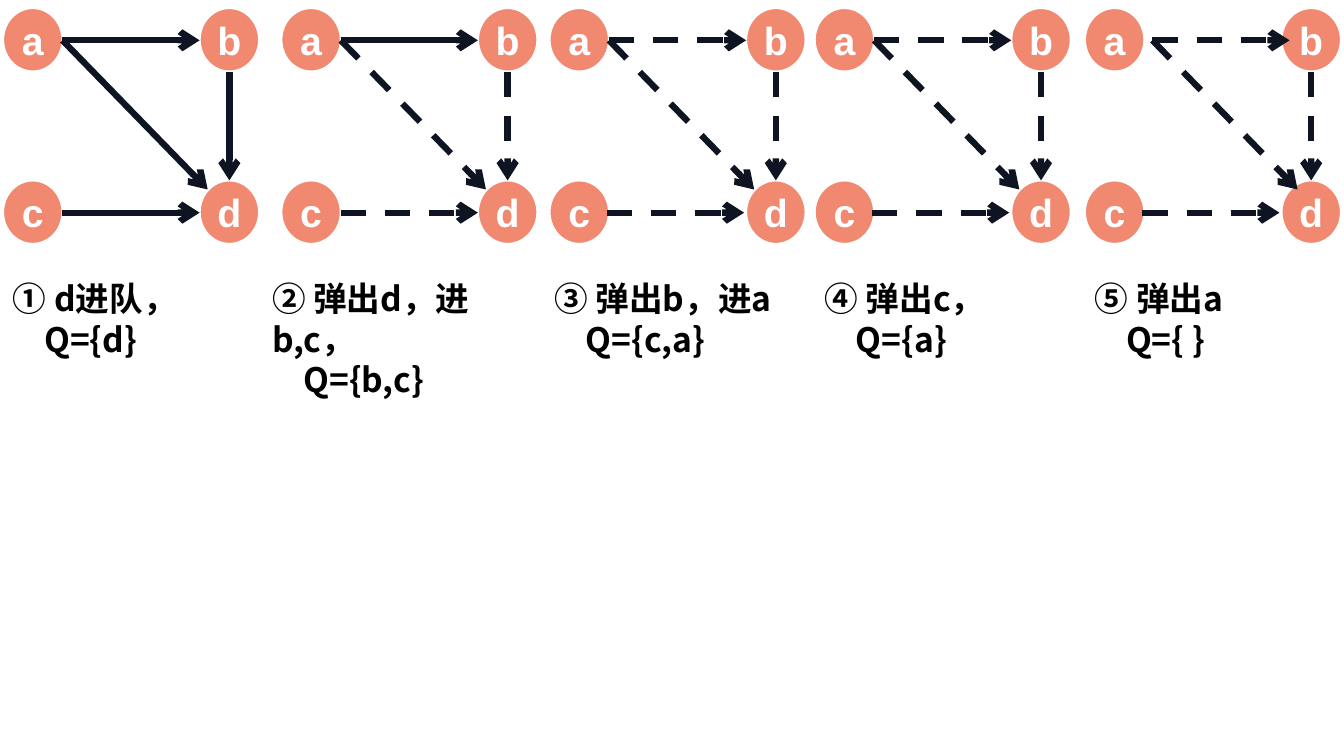
from lxml.etree import SubElement
from pptx import Presentation
from pptx.dml.color import RGBColor
from pptx.enum.dml import MSO_LINE
from pptx.enum.shapes import MSO_CONNECTOR, MSO_SHAPE
from pptx.enum.text import MSO_ANCHOR, PP_ALIGN
from pptx.oxml.ns import qn
from pptx.util import Inches, Pt

COLORS = {"node": "F18870", "white": "FFFFFF", "edge": "0F1423", "text": "000000"}
NODE_FONT, CAPTION_FONT = "Arial", "Noto Sans CJK SC"

# Each step: graph left, caption left, caption lines, solid edges, edge shifts
STEPS = [
    (0.03, 0.03, ("① d进队，", "Q={d}"), {"ab", "cd", "bd", "ad"}, {}),
    (2.79, 2.6, ("② 弹出d，进b,c，", "Q={b,c}"), {"ab"}, {}),
    (5.45, 5.4, ("③ 弹出b，进a", "Q={c,a}"), set(), {"cd": -0.02}),
    (8.08, 8.08, ("④ 弹出c，", "Q={a}"), set(), {"cd": -0.02}),
    (10.76, 10.76, ("⑤ 弹出a", "Q={ }"), set(),
     {"ab": 0.08, "cd": -0.02, "ad": 0.08}),
]

# Graph geometry, relative to the left of each graph
NODE_W, NODE_H = 0.59, 0.63
COL, TOP, BOTTOM = 1.95, 0.08, 1.79
MID_TOP, MID_BOTTOM = 0.4, 2.11
NODES = {"a": (0, TOP), "d": (COL, BOTTOM), "c": (0, BOTTOM), "b": (COL, TOP)}
EDGES = {
    "ab": (NODE_W, MID_TOP, COL, MID_TOP),
    "cd": (NODE_W, MID_BOTTOM, COL, MID_BOTTOM),
    "bd": (COL + NODE_W / 2, TOP + NODE_H, COL + NODE_W / 2, BOTTOM),
    "ad": (NODE_W, MID_TOP, 2.03, 1.88),
}
CAPTION_TOP, CAPTION_W, CAPTION_H, CAPTION_INDENT = 2.71, 2.85, 0.91, 0.31


def rgb(name):
    return RGBColor.from_string(COLORS[name])


def style_run(r, font, size, color):
    r.font.name, r.font.size, r.font.bold = font, Pt(size), True
    r.font.color.rgb = rgb(color)
    SubElement(r.font._element, qn("a:ea")).set("typeface", font)


def add_node(s, label, x, y):
    sp = s.shapes.add_shape(MSO_SHAPE.OVAL, Inches(x), Inches(y),
                            Inches(NODE_W), Inches(NODE_H))
    sp.shadow.inherit = False
    sp.fill.solid()
    sp.fill.fore_color.rgb = rgb("node")
    sp.line.color.rgb = rgb("white")
    sp.line.width = Pt(1.5)
    tf = sp.text_frame
    tf.word_wrap = False
    tf.vertical_anchor = MSO_ANCHOR.MIDDLE
    tf.text = label
    p = tf.paragraphs[0]
    p.alignment = PP_ALIGN.CENTER
    style_run(p.runs[0], NODE_FONT, 28, "white")


def add_edge(s, x1, y1, x2, y2, solid):
    cx = s.shapes.add_connector(MSO_CONNECTOR.STRAIGHT, Inches(x1), Inches(y1),
                                Inches(x2), Inches(y2))
    cx.line.color.rgb = rgb("edge")
    cx.line.width = Pt(4.5)
    if not solid:
        cx.line.dash_style = MSO_LINE.DASH
    spPr = cx._element.spPr
    SubElement(spPr.find(qn("a:ln")), qn("a:tailEnd")).set("type", "arrow")
    SubElement(spPr, qn("a:effectLst"))


def add_caption(s, x, lines):
    tb = s.shapes.add_textbox(Inches(x), Inches(CAPTION_TOP),
                              Inches(CAPTION_W), Inches(CAPTION_H))
    tf = tb.text_frame
    tf.word_wrap = True
    tf.text = "\n".join(lines)
    for p in tf.paragraphs:
        style_run(p.runs[0], CAPTION_FONT, 24, "text")
    # The queue line is set in from the step line
    pPr = tf.paragraphs[1]._p.get_or_add_pPr()
    pPr.set("marL", str(Inches(CAPTION_INDENT)))


prs = Presentation()
prs.slide_width, prs.slide_height = Inches(13.33), Inches(7.5)
s = prs.slides.add_slide(prs.slide_layouts[6])

for left, caption_left, lines, solid, shifts in STEPS:
    # Nodes
    for label, (x, y) in NODES.items():
        add_node(s, label, left + x, y)
    # Edges
    for name, (x1, y1, x2, y2) in EDGES.items():
        x = left + shifts.get(name, 0)
        add_edge(s, x + x1, y1, x + x2, y2, name in solid)
    # Caption
    add_caption(s, caption_left, lines)

prs.save("out.pptx")
